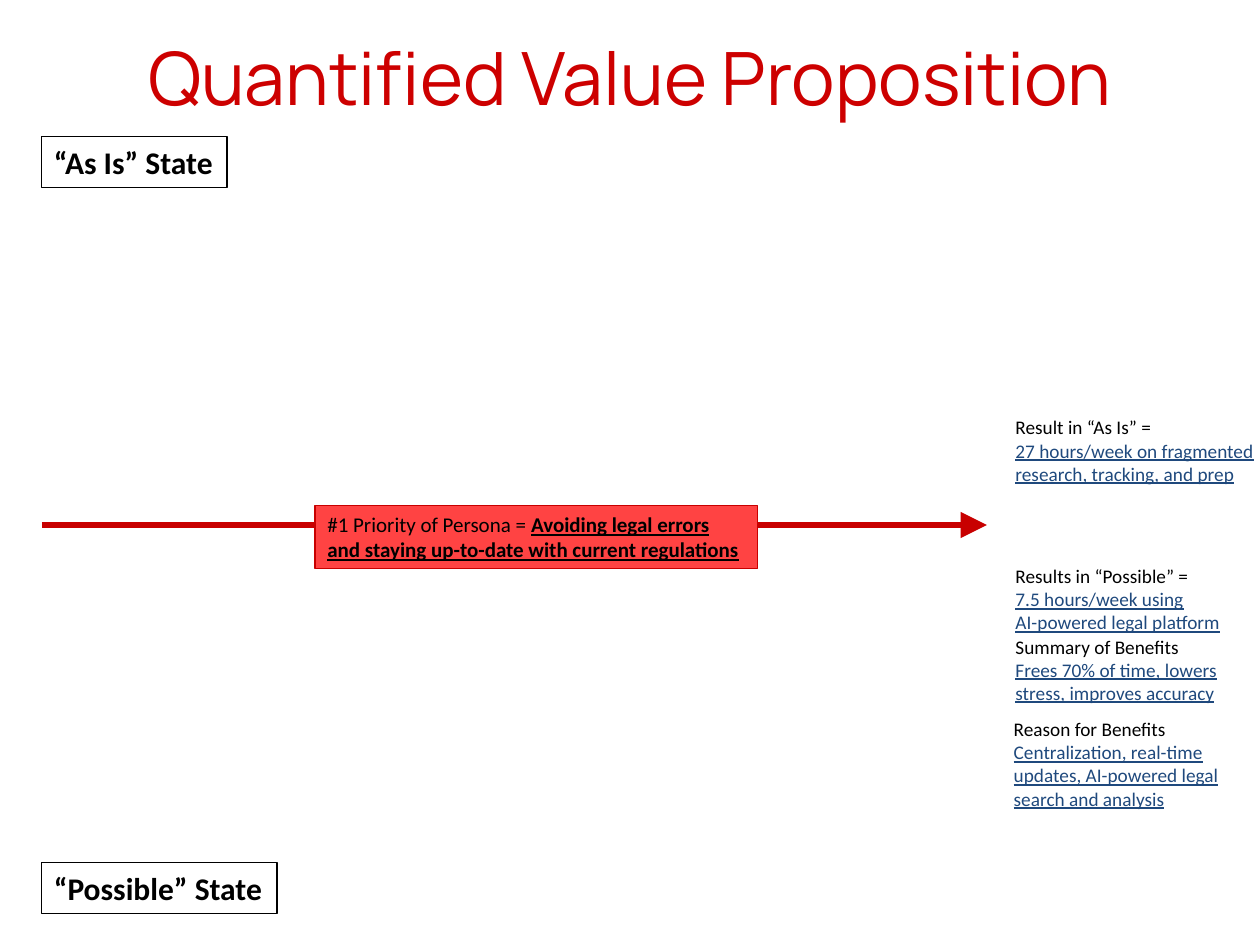
"""Build the Quantified Value Proposition slide."""
from lxml.etree import SubElement
from pptx import Presentation
from pptx.dml.color import RGBColor
from pptx.enum.shapes import MSO_CONNECTOR as Connector, MSO_SHAPE as Shape
from pptx.enum.text import MSO_ANCHOR as Anchor, MSO_AUTO_SIZE as AutoSize, PP_ALIGN as Align
from pptx.oxml.ns import qn
from pptx.util import Pt

BLACK, NAVY, RED, TITLE_RED, PALE_RED = "000000", "1F497D", "C80000", "CD0000", "FF4343"


def color(value):
    return RGBColor.from_string(value)


class SlidePainter:
    font = "Calibri"
    title_font = "Manrope"

    def __init__(self, page):
        self.page = page

    def style(self, font, size, ink=BLACK, bold=None, underline=None, name=None):
        font.name, font.size = name or self.font, Pt(size)
        font.bold, font.underline = bold, underline
        font.color.rgb = color(ink)

    def paragraphs(self, shape, count):
        frame = shape.text_frame
        frame.word_wrap = False
        frame.auto_size = AutoSize.SHAPE_TO_FIT_TEXT
        frame.vertical_anchor = Anchor.TOP
        for _ in range(count - 1):
            frame.add_paragraph()
        for para in frame.paragraphs:
            para.alignment = Align.LEFT
        return frame.paragraphs

    def title(self, text, *bounds):
        box = self.page.shapes.add_textbox(*map(Pt, bounds))
        frame = box.text_frame
        frame.word_wrap = True
        frame.margin_left = frame.margin_right = frame.margin_top = frame.margin_bottom = 0
        para = frame.paragraphs[0]
        para.text, para.alignment, para.line_spacing = text, Align.CENTER, 0.9
        self.style(para.font, 42, TITLE_RED, name=self.title_font)

    def arrow(self, left, right, y):
        line = self.page.shapes.add_connector(Connector.STRAIGHT, Pt(left), Pt(y), Pt(right), Pt(y))
        line.line.width = Pt(3)
        line.line.color.rgb = color(RED)
        SubElement(line.line._get_or_add_ln(), qn("a:tailEnd"), type="triangle", w="lg", len="lg")
        SubElement(line._element.spPr, qn("a:effectLst"))

    def frame(self, *bounds, border=BLACK, fill=None):
        box = self.page.shapes.add_shape(Shape.RECTANGLE, *map(Pt, bounds))
        box.shadow.inherit = False
        if fill:
            box.fill.solid()
            box.fill.fore_color.rgb = color(fill)
        else:
            box.fill.background()
        box.line.color.rgb = color(border)
        box.line.width = Pt(0.75)
        return box

    def state(self, text, top, width):
        box = self.frame(23.7, top, width, 29.1)
        para = self.paragraphs(box, 1)[0]
        para.text = text
        self.style(para.font, 18, bold=True)

    def priority(self, label, lines, *bounds):
        box = self.frame(*bounds, border=RED, fill=PALE_RED)
        paras = self.paragraphs(box, len(lines))
        span = paras[0].add_run()
        span.text = label
        self.style(span.font, 12)
        for para, line in zip(paras, lines):
            span = para.add_run()
            span.text = line
            self.style(span.font, 12, bold=True, underline=True)

    def finding(self, heading, lines, left, top, width):
        height = 7.2 + 13.4 * (len(lines) + 1)
        box = self.page.shapes.add_textbox(Pt(left), Pt(top), Pt(width), Pt(height))
        paras = self.paragraphs(box, len(lines) + 1)
        for index, (para, line) in enumerate(zip(paras, [heading, *lines])):
            para.text = line
            self.style(para.font, 11, NAVY if index else BLACK, underline=index > 0)


def main():
    deck = Presentation()
    deck.slide_width, deck.slide_height = Pt(720), Pt(540)
    painter = SlidePainter(deck.slides.add_slide(deck.slide_layouts[6]))
    painter.arrow(24, 564, 300)
    painter.state("“As Is” State", 78, 106)
    painter.state("“Possible” State", 493, 134.6)
    painter.title("Quantified Value Proposition", 36, 24, 648, 102)
    painter.priority(
        "#1 Priority of Persona = ",
        ["Avoiding legal errors", "and staying up-to-date with current regulations"],
        180, 288.7, 252.7, 36.4,
    )
    findings = [
        ("Result in “As Is” =",
         ["27 hours/week on fragmented", "research, tracking, and prep"], 573.2, 234, 152),
        ("Results in “Possible” =",
         ["7.5 hours/week using", "AI-powered legal platform"], 573.2, 319, 135.4),
        ("Summary of Benefits",
         ["Frees 70% of time, lowers", "stress, improves accuracy"], 573.2, 359.2, 131.8),
        ("Reason for Benefits",
         ["Centralization, real-time", "updates, AI-powered legal", "search and analysis"],
         572.2, 406.4, 132.5),
    ]
    for finding in findings:
        painter.finding(*finding)
    deck.save("out.pptx")


if __name__ == "__main__":
    main()
